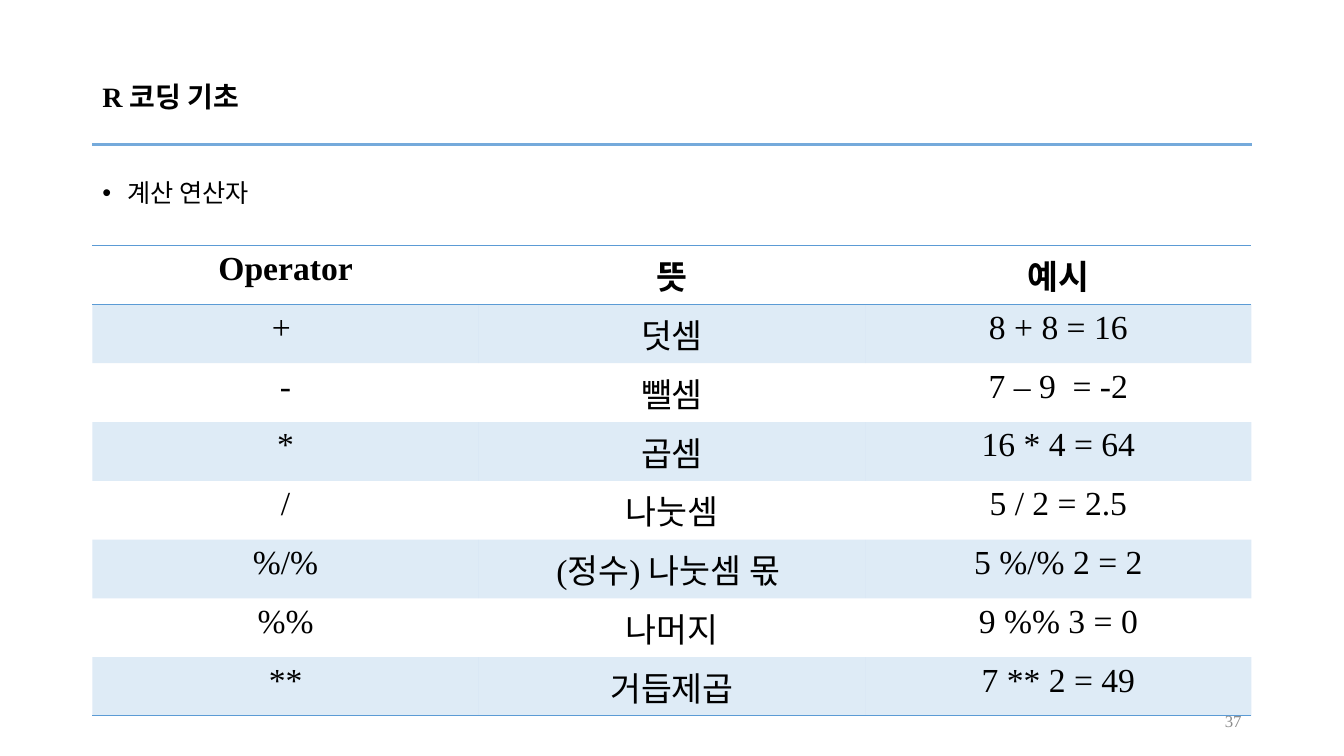
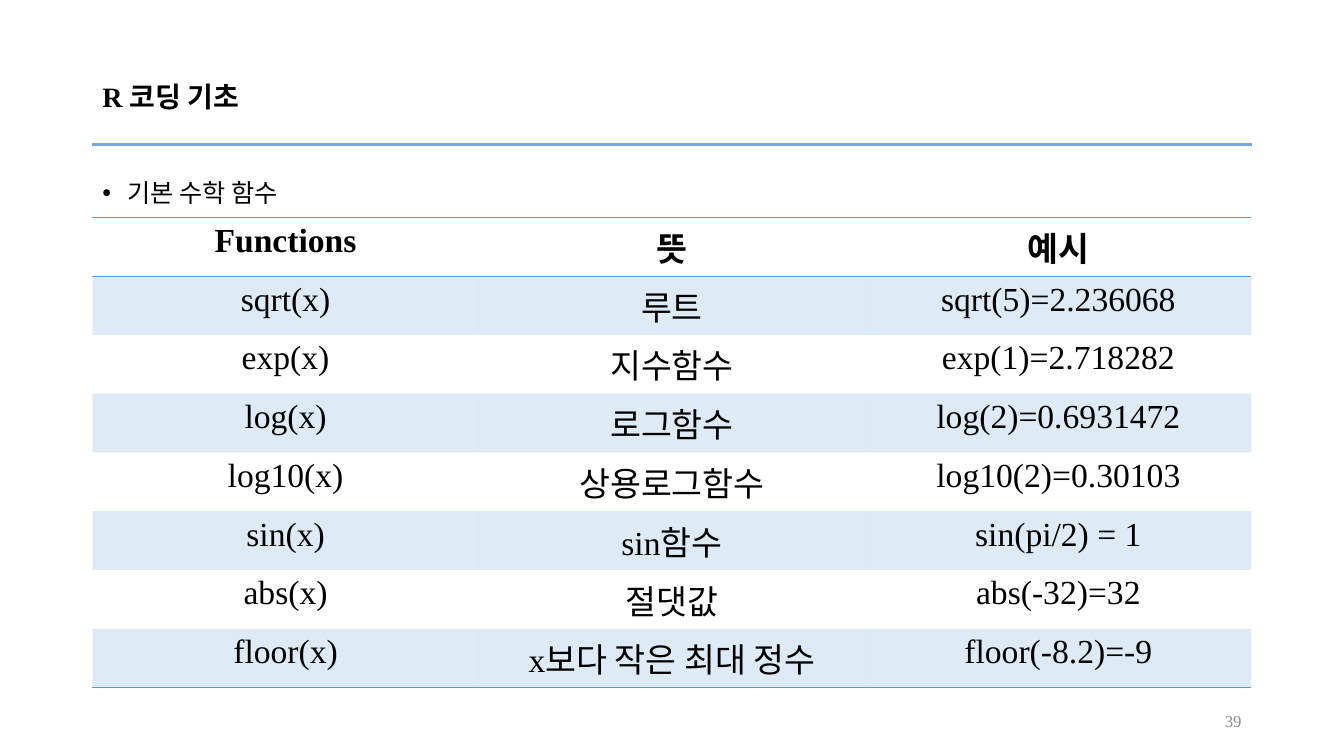
"""Builds two slides of R basics, each with a title, a topic and a table."""
from lxml import etree
from pptx import Presentation
from pptx.dml.color import RGBColor as RGB
from pptx.enum.shapes import MSO_CONNECTOR as Conn
from pptx.enum.text import MSO_ANCHOR as Anchor, PP_ALIGN as Align
from pptx.oxml.ns import qn
from pptx.util import Emu, Pt

SCALE = 9525
LEFT, WIDTH, RULE = 88, 1104, 138
ROW = 56
FACE = "Times New Roman"
BLACK, GREY, SKY, BLUE = "000000", "8C8C8C", "75AADB", "5B9BD5"
PLAIN = "{2D5ABB26-0587-4C30-8999-92F81FD0307C}"
TITLE = "R 코딩 기초"

STYLES = {
    "title": dict(size=20, color=BLACK, bold=True),
    "topic": dict(size=18, color=BLACK, bold=False),
    "page": dict(size=12, color=GREY, bold=False),
    "head": dict(size=24, color=BLACK, bold=True),
    "cell": dict(size=24, color=BLACK, bold=False),
}

SLIDES = [
    dict(topic="계산 연산자", page="37", top=234, rows=[
        ("Operator", "뜻", "예시"),
        ("+ ", "덧셈", "8 + 8 = 16"),
        ("-", "뺄셈", "7 – 9  = -2"),
        ("*", "곱셈", "16 * 4 = 64"),
        ("/", "나눗셈", "5 / 2 = 2.5"),
        ("%/%", "(정수) 나눗셈 몫 ", "5 %/% 2 = 2"),
        ("%%", "나머지", "9 %% 3 = 0"),
        ("**", "거듭제곱", "7 ** 2 = 49"),
    ]),
    dict(topic="기본 수학 함수", page="39", top=207, rows=[
        ("Functions", "뜻", "예시"),
        ("sqrt(x)", "루트", "sqrt(5)=2.236068"),
        ("exp(x)", "지수함수", "exp(1)=2.718282"),
        ("log(x)", "로그함수", "log(2)=0.6931472"),
        ("log10(x)", "상용로그함수", "log10(2)=0.30103"),
        ("sin(x)", "sin함수", "sin(pi/2) = 1"),
        ("abs(x)", "절댓값", "abs(-32)=32"),
        ("floor(x)", "x보다 작은 최대 정수", "floor(-8.2)=-9"),
    ]),
]


def px(*vals):
    return [Emu(val * SCALE) for val in vals]


def rgb(code):
    return RGB.from_string(code)


def sub(node, tag, **attrs):
    return etree.SubElement(node, qn(tag), attrs)


def write(para, text, style, align):
    run = para.add_run()
    run.text = text
    para.alignment = align
    look = STYLES[style]
    font = run.font
    for name, val in dict(name=FACE, size=Pt(look["size"]), bold=look["bold"]).items():
        setattr(font, name, val)
    font.color.rgb = rgb(look["color"])


def label(slide, area, text, style, align=Align.LEFT, anchor=Anchor.MIDDLE):
    frame = slide.shapes.add_textbox(*px(*area)).text_frame
    frame.word_wrap = True
    frame.vertical_anchor = anchor
    para = frame.paragraphs[0]
    para.line_spacing = 1.25
    if style == "topic":
        props = para._p.get_or_add_pPr()
        indent = 24 * SCALE
        props.set("marL", str(indent))
        props.set("indent", str(-indent))
        sub(props, "a:buFont", typeface="Arial")
        sub(props, "a:buChar", char="•")
    write(para, text, style, align)


def rule(slide):
    line = slide.shapes.add_connector(
        Conn.STRAIGHT, *px(LEFT, RULE, LEFT + WIDTH, RULE))
    line.line.color.rgb = rgb(SKY)
    line.line.width = Pt(2)
    sub(line._element.spPr, "a:effectLst")


def edge(side):
    line = etree.Element(qn(f"a:{side}"), w=str(Pt(1)))
    sub(sub(line, "a:solidFill"), "a:srgbClr", val=BLUE)
    return line


def paint(cell, row, last):
    props = cell._tc.get_or_add_tcPr()
    if row % 2:
        cell.fill.solid()
        cell.fill.fore_color.rgb = rgb(BLUE)
        sub(props.find(".//" + qn("a:srgbClr")), "a:alpha", val="20000")
    else:
        cell.fill.background()
    sides = {0: ["lnT", "lnB"], last: ["lnB"]}.get(row, [])
    for spot, side in enumerate(sides):
        props.insert(spot, edge(side))


def grid(slide, rows, top):
    count, cols = len(rows), len(rows[0])
    area = px(LEFT, top, WIDTH, ROW * count)
    shape = slide.shapes.add_table(count, cols, *area)
    table = shape.table
    table.first_row = table.horz_banding = False
    next(shape._element.iter(qn("a:tableStyleId"))).text = PLAIN
    for row, texts in enumerate(rows):
        for col, text in enumerate(texts):
            cell = table.cell(row, col)
            paint(cell, row, count - 1)
            style = "cell" if row else "head"
            write(cell.text_frame.paragraphs[0], text, style, Align.CENTER)


def main():
    deck = Presentation()
    deck.slide_width, deck.slide_height = px(1280, 720)
    for data in SLIDES:
        slide = deck.slides.add_slide(deck.slide_layouts[6])
        rule(slide)
        label(slide, (LEFT, 38, WIDTH, 100), TITLE, "title")
        label(slide, (LEFT, 157, WIDTH, 492), data["topic"], "topic",
              anchor=Anchor.TOP)
        label(slide, (904, 665, 288, 38), data["page"], "page", Align.RIGHT)
        grid(slide, data["rows"], data["top"])
    deck.save("out.pptx")


if __name__ == "__main__":
    main()
